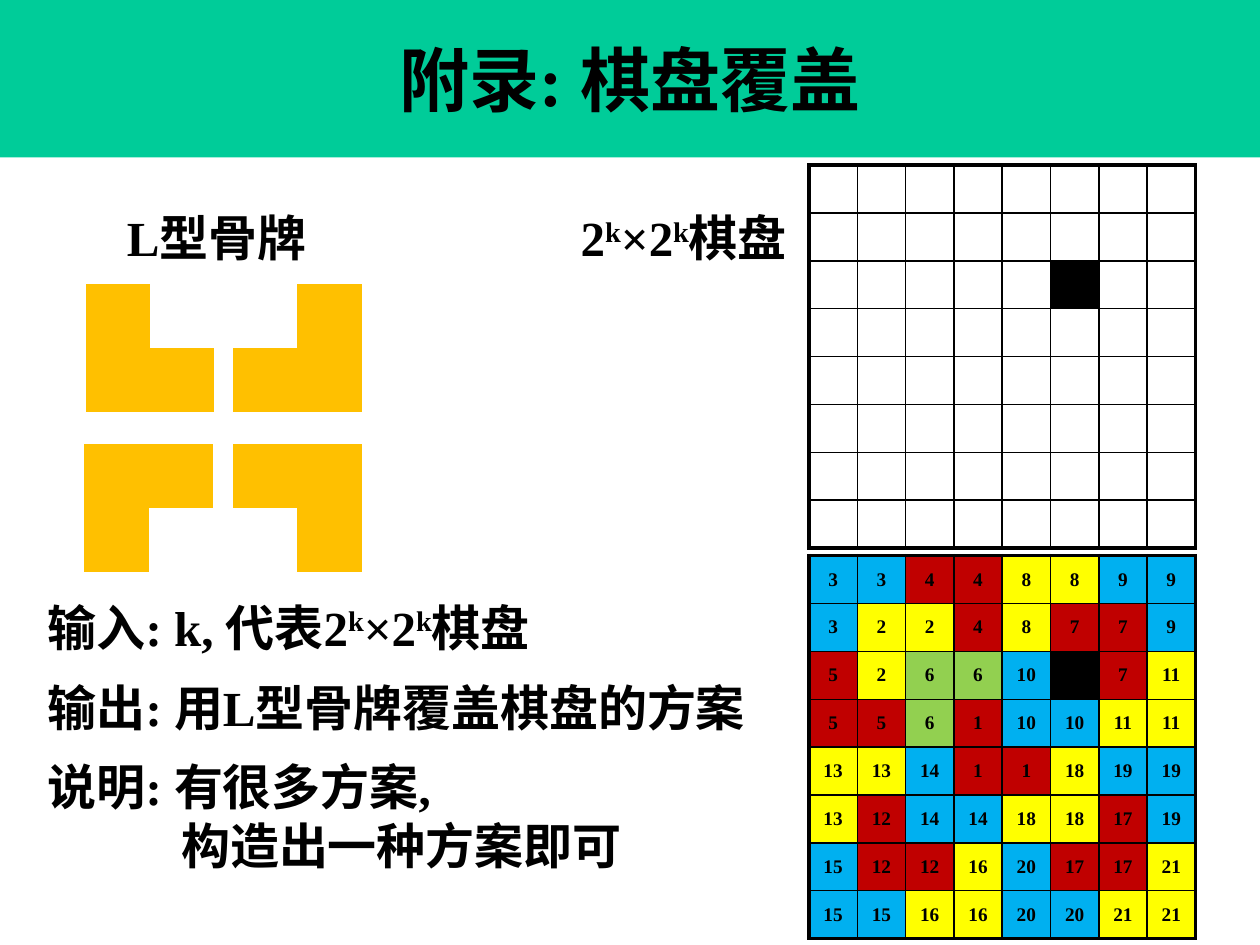
import pptx
import pptx.util
import pptx.dml.color
import pptx.enum.text
from lxml import etree
from pptx.oxml.ns import qn

Inches, Pt = pptx.util.Inches, pptx.util.Pt
RGB = pptx.dml.color.RGBColor
PP_ALIGN = pptx.enum.text.PP_ALIGN
MSO_ANCHOR = pptx.enum.text.MSO_ANCHOR

FONT = "Times New Roman"
BLACK = RGB(0x00, 0x00, 0x00)
TEAL = RGB(0x00, 0xCC, 0x99)
GOLD = RGB(0xFF, 0xC0, 0x00)
BLUE = RGB(0x00, 0xB0, 0xF0)
RED = RGB(0xC0, 0x00, 0x00)
YELLOW = RGB(0xFF, 0xFF, 0x00)
GREEN = RGB(0x92, 0xD0, 0x50)
NO_STYLE = "{2D5ABB26-0587-4C30-8999-92F81FD0307C}"

# Content: a run is (text, is superscript)
TITLE = "附录: 棋盘覆盖"
POWER = [("k", True), ("×2", False), ("k", True), ("棋盘", False)]
LABELS = [
    ((0.91, 1.6, 1.74, 0.57), [[("L型骨牌", False)]]),
    ((4.51, 1.6, 1.99, 0.57), [[("2", False)] + POWER]),
]
PROBLEM_BOX = (0.28, 4.69, 5.82, 2.32)
PROBLEM = [
    [("输入: k, 代表2", False)] + POWER,
    [("输出: 用L型骨牌覆盖棋盘的方案", False)],
    [("说明: 有很多方案, ", False), ("\n", False), ("构造出一种方案即可", False)],
]

# Piece number on each square; 0 marks the black square
COVER = [
    [3, 3, 4, 4, 8, 8, 9, 9],
    [3, 2, 2, 4, 8, 7, 7, 9],
    [5, 2, 6, 6, 10, 0, 7, 11],
    [5, 5, 6, 1, 10, 10, 11, 11],
    [13, 13, 14, 1, 1, 18, 19, 19],
    [13, 12, 14, 14, 18, 18, 17, 19],
    [15, 12, 12, 16, 20, 17, 17, 21],
    [15, 15, 16, 16, 20, 20, 21, 21],
]
PIECES = {
    BLACK: [0],
    BLUE: [3, 9, 10, 14, 15, 19, 20],
    RED: [1, 4, 5, 7, 12, 17],
    YELLOW: [2, 8, 11, 13, 16, 18, 21],
    GREEN: [6],
}
PIECE_COLOR = {n: color for color, numbers in PIECES.items() for n in numbers}
BOARD_LEFT, BOARD_TOPS, BOARD_SIZE = 6.42, (1.31, 4.41), (3.07, 3.04)

# Each domino: left, top and the (row, column) left empty
DOMINOES = [(0.68, 2.25, (0, 1)), (1.85, 2.25, (0, 0)),
            (0.67, 3.52, (1, 1)), (1.85, 3.52, (1, 0))]
DOMINO_SIZE = (1.02, 1.02)


def add_run(p, text, size, superscript=False):
    r = p.add_run()
    r.text = text
    r.font.name, r.font.size, r.font.bold = FONT, Pt(size), True
    r.font.color.rgb = BLACK
    if superscript:
        r.font._element.set("baseline", "30000")


def add_text(s, box, paragraphs, gap=0, hang=0):
    tf = s.shapes.add_textbox(*map(Inches, box)).text_frame
    tf.word_wrap = True
    for i, runs in enumerate(paragraphs):
        p = tf.paragraphs[0] if i == 0 else tf.add_paragraph()
        p.space_before, p.space_after = Pt(gap if i else 0), Pt(gap)
        for text, superscript in runs:
            if text == "\n":
                # Lines after the break align past the heading word
                pPr = p._p.get_or_add_pPr()
                pPr.set("marL", str(Inches(hang)))
                pPr.set("indent", str(-Inches(hang)))
                p.add_line_break()
            else:
                add_run(p, text, 28, superscript)


def add_border(cell, side, width):
    ln = etree.SubElement(cell._tc.get_or_add_tcPr(), qn("a:ln" + side), w=str(Pt(width)))
    fill = etree.SubElement(ln, qn("a:solidFill"))
    etree.SubElement(fill, qn("a:srgbClr"), val=str(BLACK))


def add_grid(s, left, top, size, colors, numbers=None, bordered=False):
    n = len(colors)
    width, height = map(Inches, size)
    table = s.shapes.add_table(n, n, Inches(left), Inches(top), width, height).table
    table.first_row = table.horz_banding = False
    table._tbl.tblPr.find(qn("a:tableStyleId")).text = NO_STYLE
    for i in range(n):
        table.columns[i].width, table.rows[i].height = width // n, height // n
        for j in range(n):
            cell = table.cell(i, j)
            if bordered:
                outer = {"L": j == 0, "R": j == n - 1, "T": i == 0, "B": i == n - 1}
                for side, is_outer in outer.items():
                    add_border(cell, side, 2.25 if is_outer else 1)
            if colors[i][j] is None:
                cell.fill.background()
            else:
                cell.fill.solid()
                cell.fill.fore_color.rgb = colors[i][j]
            if numbers and numbers[i][j]:
                cell.vertical_anchor = MSO_ANCHOR.MIDDLE
                p = cell.text_frame.paragraphs[0]
                p.alignment = PP_ALIGN.CENTER
                add_run(p, str(numbers[i][j]), 11)
            else:
                cell.margin_top = cell.margin_bottom = 0


prs = pptx.Presentation()
prs.slide_width, prs.slide_height = Inches(10), Inches(7.5)
s = prs.slides.add_slide(prs.slide_layouts[5])

# Title band
sp = s.shapes.title
sp.left, sp.top, sp.width, sp.height = 0, 0, Inches(10), Inches(1.25)
sp.fill.solid()
sp.fill.fore_color.rgb = TEAL
sp.text_frame.vertical_anchor = MSO_ANCHOR.MIDDLE
p = sp.text_frame.paragraphs[0]
p.alignment = PP_ALIGN.CENTER
add_run(p, TITLE, 40)

# Problem statement
add_text(s, PROBLEM_BOX, PROBLEM, gap=6, hang=1.06)

# Empty board and covered board
empty = [[None if n else BLACK for n in row] for row in COVER]
covered = [[PIECE_COLOR[n] for n in row] for row in COVER]
add_grid(s, BOARD_LEFT, BOARD_TOPS[0], BOARD_SIZE, empty, bordered=True)
add_grid(s, BOARD_LEFT, BOARD_TOPS[1], BOARD_SIZE, covered, COVER, bordered=True)

# L dominoes
for left, top, hole in DOMINOES:
    colors = [[None if (i, j) == hole else GOLD for j in range(2)] for i in range(2)]
    add_grid(s, left, top, DOMINO_SIZE, colors)

# Labels
for box, paragraphs in LABELS:
    add_text(s, box, paragraphs)

prs.save("out.pptx")
